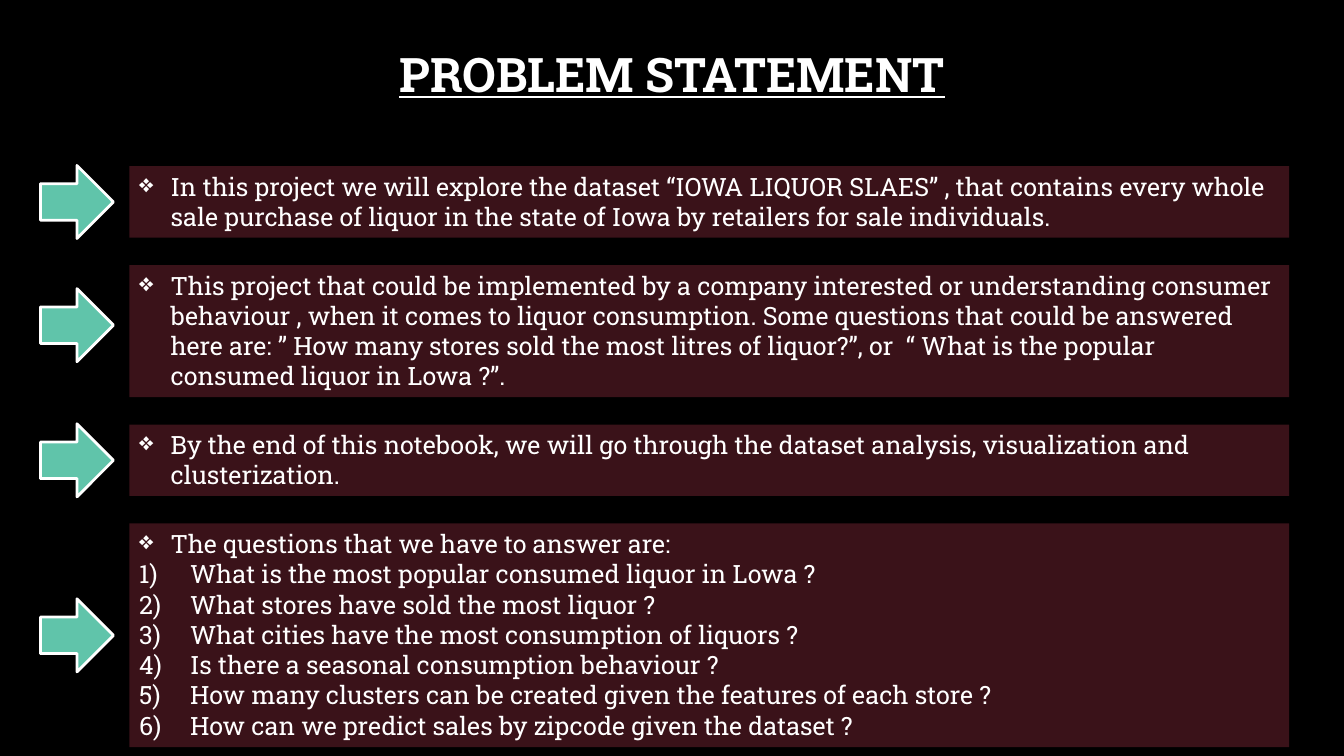
from dataclasses import dataclass

from lxml import etree
from pptx import Presentation
from pptx import util as u
from pptx.dml.color import RGBColor
from pptx.enum import shapes, text
from pptx.oxml import ns


@dataclass(frozen=True)
class Theme:
    font: str = "Roboto Slab"
    background: RGBColor = RGBColor(0x00, 0x00, 0x00)
    ink: RGBColor = RGBColor(0xFF, 0xFF, 0xFF)
    panel: RGBColor = RGBColor(0x3A, 0x12, 0x19)
    arrow: RGBColor = RGBColor(0x60, 0xC4, 0xAA)
    title_size: int = 34
    body_size: int = 18
    outline: int = 2


@dataclass(frozen=True)
class Box:
    left: float
    top: float
    width: float
    height: float

    def lengths(self):
        return [u.Cm(n) for n in (self.left, self.top, self.width, self.height)]


THEME = Theme()
DIAMOND = ("buChar", {"char": "❖"}, 0.79)
NUMBER = ("buAutoNum", {"type": "arabicParenR"}, 1.28)
PANEL_GAP = 0.69
ARROW_SIZE = 1.84

# Each panel: height, arrow shift from the panel's middle, lead text, numbered items
PANELS = [
    (1.8, 0, "In this project we will explore the dataset “IOWA LIQUOR SLAES” , that contains "
     "every whole sale purchase of liquor in the state of Iowa by retailers for sale "
     "individuals.", []),
    (3.33, -0.15, "This project that could be implemented by a company interested or "
     "understanding consumer behaviour , when it comes to liquor consumption. Some questions "
     "that could be answered here are: ” How many stores sold the most litres of liquor?”, "
     "or  “ What is the popular consumed liquor in Lowa ?”.", []),
    (1.8, 0, "By the end of this notebook, we will go through the dataset analysis, "
     "visualization and clusterization.", []),
    (5.64, 0, "The questions that we have to answer are:", [
        "What is the most popular consumed liquor in Lowa ?",
        "What stores have sold the most liquor ?",
        "What cities have the most consumption of liquors ?",
        "Is there a seasonal consumption behaviour ?",
        "How many clusters can be created given the features of each store ?",
        "How can we predict sales by zipcode given the dataset ?",
    ]),
]


def add_span(para, words, size):
    span = para.add_run()
    span.text = words
    span.font.name = THEME.font
    span.font.size = u.Pt(size)
    span.font.color.rgb = THEME.ink
    return span


def add_bullet(para, marker):
    tag, attributes, indent = marker
    properties = para._p.get_or_add_pPr()
    properties.set("marL", str(u.Cm(indent)))
    properties.set("indent", str(-u.Cm(indent)))
    etree.SubElement(properties, ns.qn("a:" + tag), attributes)


def add_filled(page, kind, box, colour):
    shape = page.shapes.add_shape(kind, *box.lengths())
    shape.shadow.inherit = False
    shape.fill.solid()
    shape.fill.fore_color.rgb = colour
    shape.line.fill.background()
    return shape


# Heading
def add_title(page, box, words):
    frame = page.shapes.add_textbox(*box.lengths()).text_frame
    frame.word_wrap = True
    frame.vertical_anchor = text.MSO_ANCHOR.MIDDLE
    para = frame.paragraphs[0]
    para.alignment = text.PP_ALIGN.CENTER
    para.line_spacing = 0.9
    span = add_span(para, words, THEME.title_size)
    span.font.bold = True
    span.font.underline = True


# Text panel with a diamond lead and optional numbered items
def add_panel(page, box, lead, items):
    panel = add_filled(page, shapes.MSO_SHAPE.RECTANGLE, box, THEME.panel)
    frame = panel.text_frame
    frame.word_wrap = True
    frame.auto_size = text.MSO_AUTO_SIZE.SHAPE_TO_FIT_TEXT
    frame.vertical_anchor = text.MSO_ANCHOR.TOP
    lines = [(lead, DIAMOND)] + [(item, NUMBER) for item in items]
    for index, (words, marker) in enumerate(lines):
        para = frame.add_paragraph() if index else frame.paragraphs[0]
        para.alignment = text.PP_ALIGN.LEFT
        add_bullet(para, marker)
        add_span(para, words, THEME.body_size)


# Arrow pointing at a panel
def add_arrow(page, box):
    arrow = add_filled(page, shapes.MSO_SHAPE.RIGHT_ARROW, box, THEME.arrow)
    arrow.line.color.rgb = THEME.ink
    arrow.line.width = u.Pt(THEME.outline)


# Stack of panels, each with its arrow in the left margin
def add_statements(page, box):
    top = box.top
    for height, shift, lead, items in PANELS:
        add_panel(page, Box(box.left + 2.24, top, box.width - 2.24, height), lead, items)
        arrow_top = top + (height - ARROW_SIZE) / 2 + shift
        add_arrow(page, Box(box.left, arrow_top, ARROW_SIZE, ARROW_SIZE))
        top += height + PANEL_GAP


def main():
    deck = Presentation()
    deck.slide_width = u.Cm(33.87)
    deck.slide_height = u.Cm(19.05)
    page = deck.slides.add_slide(deck.slide_layouts[6])
    page.background.fill.solid()
    page.background.fill.fore_color.rgb = THEME.background
    add_title(page, Box(2.56, 1.02, 28.75, 1.85), "PROBLEM STATEMENT")
    add_statements(page, Box(1.02, 4.19, 31.47, 14.64))
    deck.save("out.pptx")


if __name__ == "__main__":
    main()
